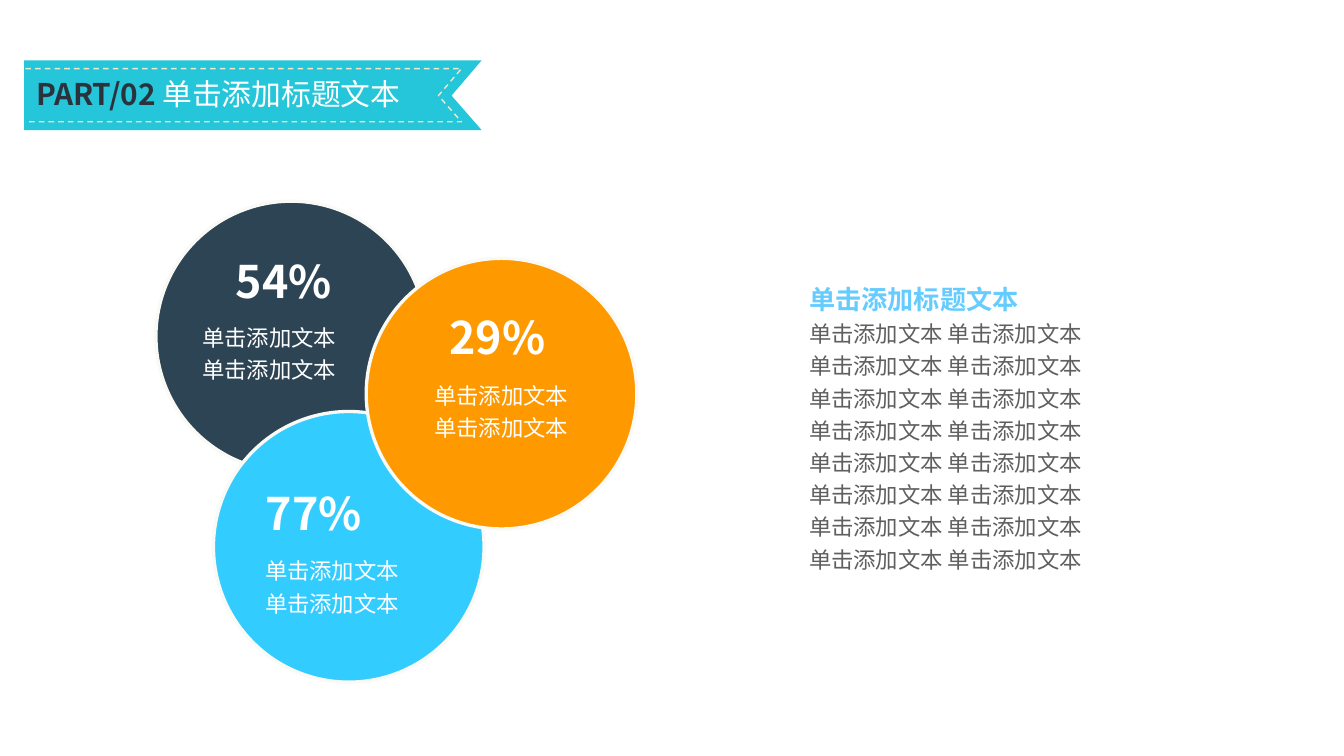
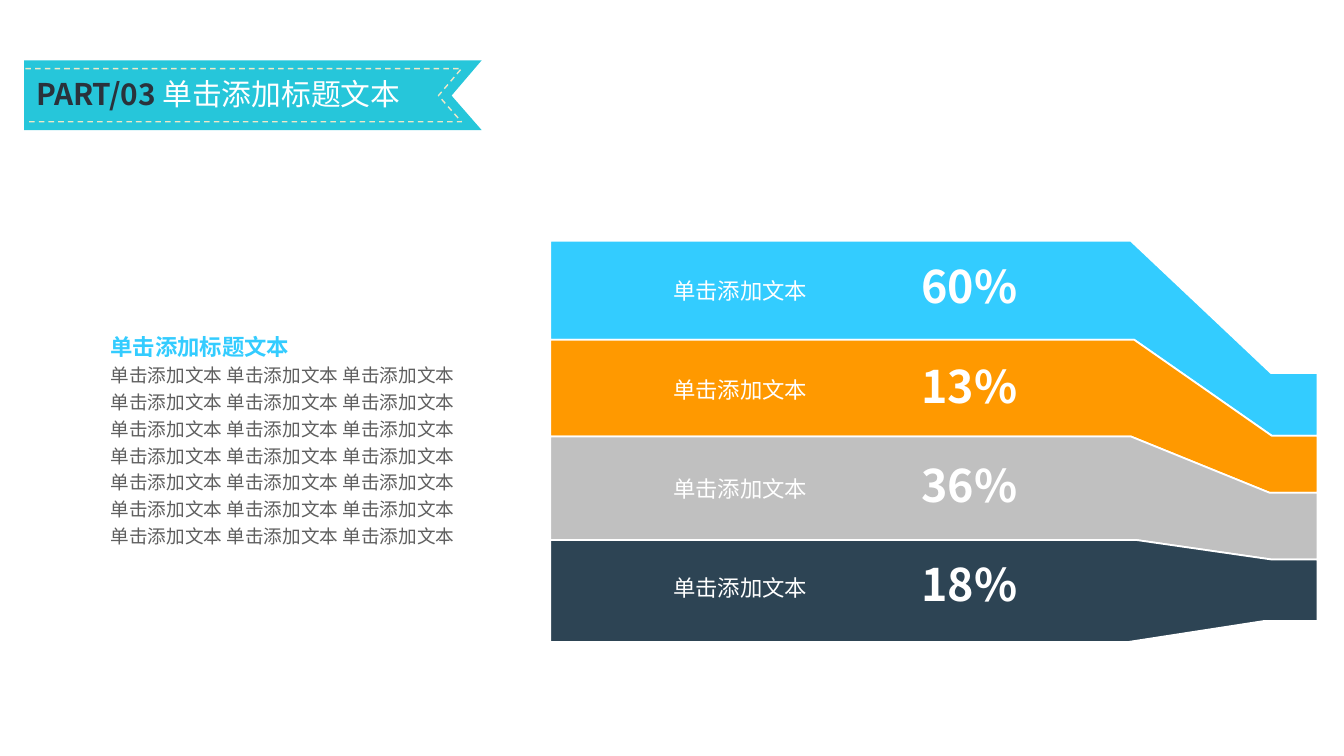
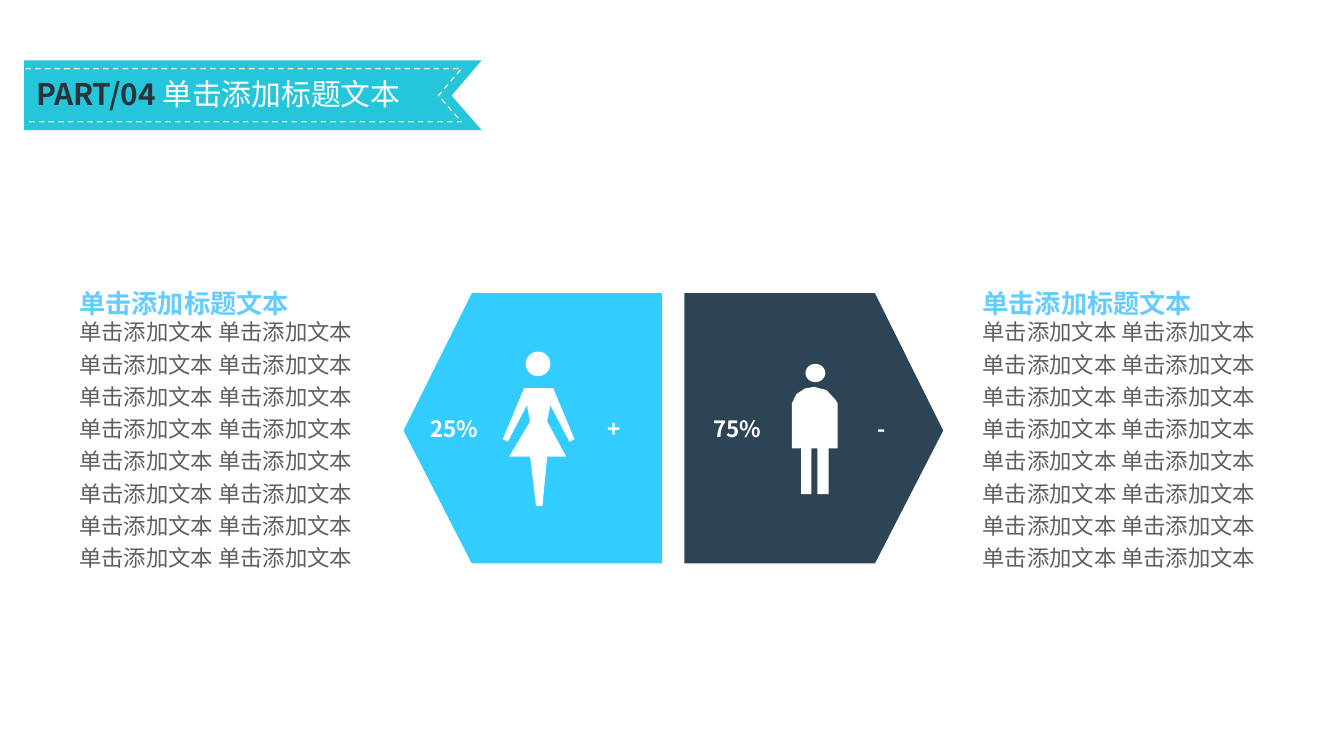
from dataclasses import dataclass
from math import cos, pi, sin
from typing import NamedTuple

from pptx import Presentation
from pptx.dml.color import RGBColor
from pptx.enum.dml import MSO_LINE
from pptx.enum.shapes import MSO_SHAPE
from pptx.enum.text import MSO_AUTO_SIZE as AutoSize
from pptx.util import Cm, Pt

# Shared colours, fonts and words
TEAL, CREAM, INK = "26C6DA", "EDE8C8", "2A323B"
NAVY, SKY, ORANGE, SILVER = "2D4454", "33CCFF", "FF9900", "C0C0C0"
WHITE, RIM, HEADING, GREY = "FFFFFF", "F9F9F6", "66CCFF", "5F5F5F"
SANS, LATIN = "Noto Sans CJK SC", "Arial"
TITLE, TEXT = "单击添加标题文本", "单击添加文本"

Point = tuple[float, float]


class Box(NamedTuple):
    left: float
    top: float
    width: float
    height: float


@dataclass
class Span:
    text: str
    size: float
    color: str = WHITE
    font: str = SANS
    bold: bool = False


@dataclass
class Para:
    spans: list[Span]
    spacing: float | None = None


@dataclass
class Outline:
    color: str
    width: float
    dashed: bool = False


def rgb(color: str) -> RGBColor:
    return RGBColor.from_string(color)


# Drawing helpers
def paint(shape, fill: str | None, outline: Outline | None) -> None:
    shape.shadow.inherit = False
    if fill:
        shape.fill.solid()
        shape.fill.fore_color.rgb = rgb(fill)
    else:
        shape.fill.background()
    if outline is None:
        shape.line.fill.background()
        return
    shape.line.color.rgb = rgb(outline.color)
    shape.line.width = Pt(outline.width)
    if outline.dashed:
        shape.line.dash_style = MSO_LINE.DASH


def draw_outline(shapes, contours: list[list[Point]], fill: str | None,
                 outline: Outline | None = None) -> None:
    """Draw contours given in centimetres; unfilled ones stay open."""
    paths = [[(Cm(x), Cm(y)) for x, y in contour] for contour in contours]
    builder = shapes.build_freeform(*paths[0][0], scale=1.0)
    for index, points in enumerate(paths):
        if index:
            builder.move_to(*points[0])
        builder.add_line_segments(points[1:], close=fill is not None)
    paint(builder.convert_to_shape(), fill, outline)


def write(page, box: Box, paras: list[Para], inset: bool = True) -> None:
    frame = page.shapes.add_textbox(*map(Cm, box)).text_frame
    frame.word_wrap = False
    frame.auto_size = AutoSize.SHAPE_TO_FIT_TEXT
    if not inset:
        frame.margin_left = frame.margin_right = Cm(0)
        frame.margin_top = frame.margin_bottom = Cm(0)
    for index, para in enumerate(paras):
        line = frame.add_paragraph() if index else frame.paragraphs[0]
        if para.spacing:
            line.line_spacing = para.spacing
        for span in para.spans:
            run = line.add_run()
            run.text = span.text
            run.font.size = Pt(span.size)
            run.font.name = span.font
            run.font.bold = span.bold
            run.font.color.rgb = rgb(span.color)


def write_label(page, box: Box, text: str, size: float, bold: bool = True,
                inset: bool = True) -> None:
    write(page, box, [Para([Span(text, size, bold=bold)])], inset)


def write_body(page, box: Box, heading: Span, size: float, columns: int,
               rows: int, tight: int = 0) -> None:
    """A heading over rows of text; the first `tight` paragraphs are single spaced."""
    row = Span(" ".join([TEXT] * columns), size, GREY, LATIN)
    spans = [heading] + [row] * rows
    write(page, box, [Para([span], None if index < tight else 1.2)
                      for index, span in enumerate(spans)])


def ring(center: Point, radius_x: float, radius_y: float) -> list[Point]:
    steps = 24
    return [(center[0] + radius_x * cos(2 * pi * step / steps),
             center[1] + radius_y * sin(2 * pi * step / steps))
            for step in range(steps)]


# Ribbon title
RIBBON = [(12.14, 3.28), (0.61, 3.28), (0.61, 1.52), (12.14, 1.52), (11.38, 2.41)]
STITCH = [(0.64, 1.73), (11.63, 1.73), (11.05, 2.41), (11.63, 3.07), (0.64, 3.07)]


def add_page(deck):
    page = deck.slides.add_slide(deck.slide_layouts[6])
    ribbon = page.shapes.add_group_shape().shapes
    draw_outline(ribbon, [RIBBON], TEAL)
    draw_outline(ribbon, [STITCH], None, Outline(CREAM, 1, dashed=True))
    return page


def write_title(page, part: int) -> None:
    write(page, Box(0.66, 1.78, 10.13, 1.17), [Para([
        Span(f"PART/{part:02} ", 21.3, INK, bold=True),
        Span(TITLE, 21.3, font=LATIN)])])


# Overlapping circles
@dataclass
class Circle:
    center: Point
    color: str
    share: str
    share_at: Point
    caption_at: Point


DIAMETER = 6.82
CIRCLES = [
    Circle((7.34, 8.48), NAVY, "54%", (5.69, 6.27), (4.85, 7.9)),
    Circle((8.79, 13.78), SKY, "77%", (6.45, 12.12), (6.43, 13.79)),
    Circle((12.64, 9.92), ORANGE, "29%", (11.07, 7.67), (10.69, 9.37)),
]


def add_circles_page(deck) -> None:
    page = add_page(deck)
    write_body(page, Box(20.14, 6.86, 7.52, 7.77),
               Span(TITLE, 18.7, HEADING, LATIN, True), 16, columns=2, rows=8)
    for circle in CIRCLES:
        x, y = circle.center
        box = Box(x - DIAMETER / 2, y - DIAMETER / 2, DIAMETER, DIAMETER)
        disc = page.shapes.add_shape(MSO_SHAPE.OVAL, *map(Cm, box))
        paint(disc, circle.color, Outline(RIM, 2.38))
    for circle in CIRCLES:
        write_label(page, Box(*circle.share_at, 2.97, 1.63), circle.share, 32)
        write(page, Box(*circle.caption_at, 3.94, 1.91),
              [Para([Span(TEXT, 16, font=LATIN)], 1.2)] * 2)
    write_title(page, 2)


# Narrowing bands
class Edge(NamedTuple):
    left_y: float
    knee_x: float
    shoulder_x: float
    right_y: float

    def points(self) -> list[Point]:
        return [(13.87, self.left_y), (self.knee_x, self.left_y),
                (self.shoulder_x, self.right_y), (33.2, self.right_y)]


EDGES = [
    Edge(6.07, 28.5, 32.03, 9.4),
    Edge(8.56, 28.58, 32.05, 10.98),
    Edge(11.0, 28.5, 32.0, 12.42),
    Edge(13.61, 28.65, 32.05, 14.1),
    Edge(16.18, 28.42, 31.85, 15.65),
]
BANDS = [(SKY, "60%"), (ORANGE, "13%"), (SILVER, "36%"), (NAVY, "18%")]
BAND_STEP = 2.5


def add_bands_page(deck) -> None:
    page = add_page(deck)
    for (color, _), upper, lower in zip(BANDS, EDGES, EDGES[1:]):
        draw_outline(page.shapes, [upper.points() + lower.points()[::-1]],
                     color, Outline(WHITE, 1.25))
    for index, (_, share) in enumerate(BANDS):
        drop = index * BAND_STEP
        write_label(page, Box(16.97, 6.98 + drop, 3.43, 0.69), TEXT, 16,
                    bold=False, inset=False)
        write_label(page, Box(23.22, 6.53 + drop, 2.46, 1.37), share, 32,
                    inset=False)
    write_body(page, Box(2.54, 8.13, 9.35, 5.87),
               Span(TITLE, 16, SKY, LATIN, True), 13.3, columns=3, rows=7)
    write_title(page, 3)


# Facing panels with figures
PANEL = [(17.25, 7.39), (17.25, 14.2), (22.05, 14.2), (23.77, 10.85), (22.05, 7.39)]
MIRROR = 33.94
MAN = [
    [(21.11, 11.3), (20.88, 11.3), (20.88, 12.45), (20.6, 12.45), (20.6, 11.3),
     (20.45, 11.3), (20.45, 12.45), (20.19, 12.45), (20.19, 11.3), (19.96, 11.3),
     (19.96, 10.16), (20.07, 9.93), (20.29, 9.79), (20.52, 9.75), (20.83, 9.83),
     (21.06, 10.08), (21.11, 10.16)],
    ring((20.55, 9.4), 0.25, 0.23),
]
WOMAN = [
    [(14.35, 11.13), (14.48, 11.07), (13.94, 9.78), (13.21, 9.78), (12.67, 11.07),
     (12.8, 11.13), (13.28, 10.21), (13.36, 10.62), (12.83, 11.51), (13.36, 11.51),
     (13.51, 12.75), (13.67, 12.75), (13.79, 11.51), (14.27, 11.51), (13.79, 10.62),
     (13.87, 10.21)],
    ring((13.56, 9.17), 0.31, 0.31),
]
# Text, left and width of each mark on the panels
MARKS = [("25%", 10.59, 1.75), ("75%", 17.73, 1.75), ("+", 15.06, 0.94), ("-", 21.87, 0.76)]


def add_figures_page(deck) -> None:
    page = add_page(deck)
    draw_outline(page.shapes, [PANEL], NAVY)
    draw_outline(page.shapes, MAN, WHITE)
    draw_outline(page.shapes, [[(MIRROR - x, y) for x, y in PANEL]], SKY)
    draw_outline(page.shapes, WOMAN, WHITE)
    for text, left, width in MARKS:
        write_label(page, Box(left, 10.34, width, 0.94), text, 16)
    for left in (24.51, 1.75):
        write_body(page, Box(left, 7.11, 7.52, 7.49),
                   Span(TITLE, 18.7, HEADING, LATIN, True), 16,
                   columns=2, rows=8, tight=2)
    write_title(page, 4)


def main() -> None:
    deck = Presentation()
    deck.slide_width, deck.slide_height = Cm(33.87), Cm(19.05)
    add_circles_page(deck)
    add_bands_page(deck)
    add_figures_page(deck)
    deck.save("out.pptx")


main()
